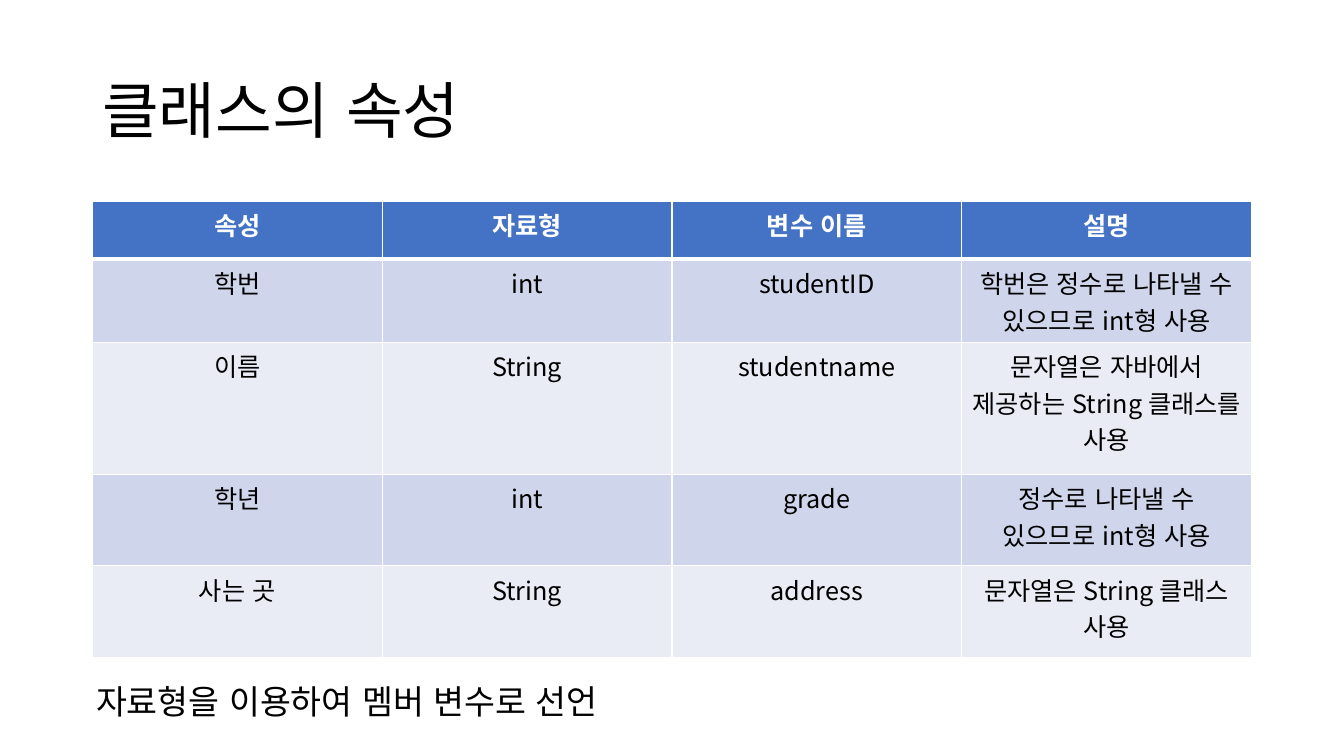
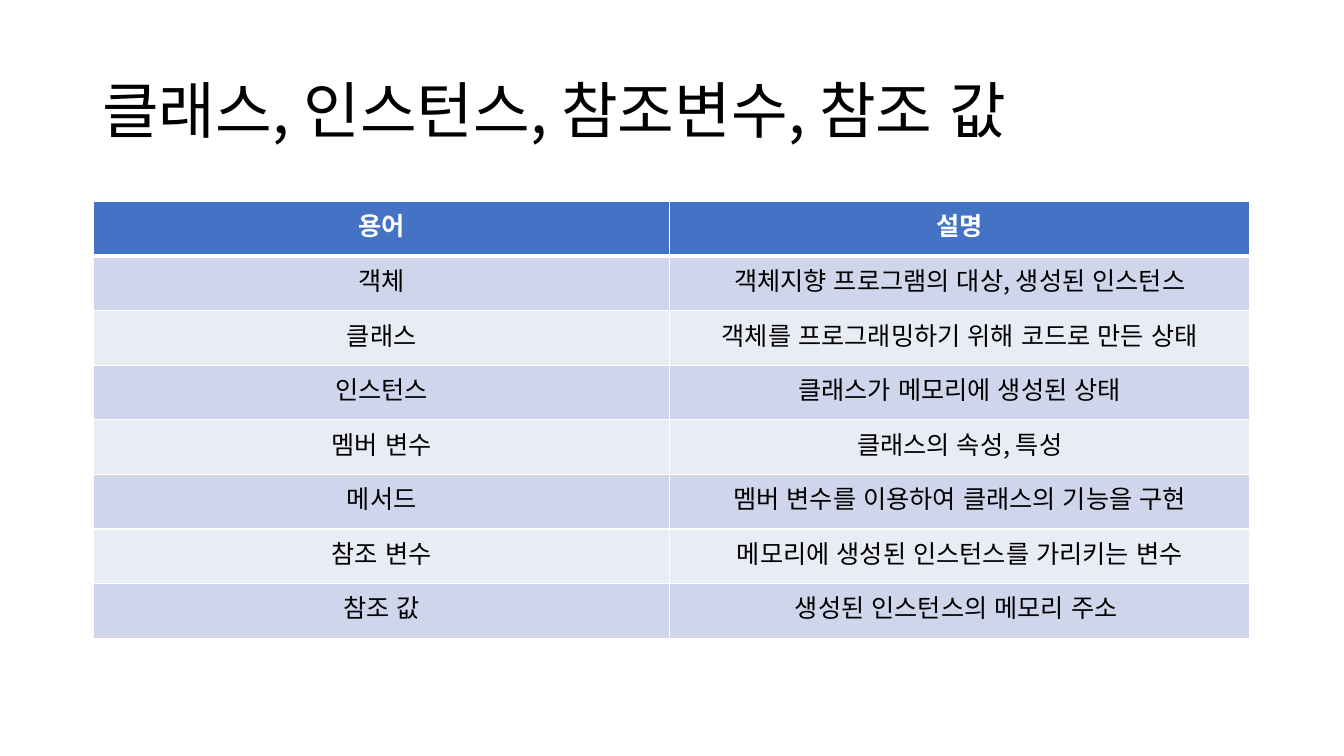
"""Build two slides of class-concept tables with a shared title and table style."""
from dataclasses import dataclass

from lxml.etree import SubElement
from pptx import Presentation
from pptx.dml.color import RGBColor
from pptx.enum.lang import MSO_LANGUAGE_ID as Language
from pptx.enum.text import MSO_ANCHOR as Anchor, PP_ALIGN as Align
from pptx.oxml.ns import qn
from pptx.slide import Slide
from pptx.table import _Cell as Cell
from pptx.text.text import _Paragraph as Paragraph
from pptx.util import Emu, Pt

EMU_PER_PX = 9525
FONT = "Noto Sans CJK KR"
BLACK, WHITE = "000000", "FFFFFF"
HEADER_FILL = "4472C4"
BAND_FILLS = ("E9EBF5", "CFD5EA")
THIN, THICK = 1, 3


@dataclass(frozen=True)
class Box:
    left: int
    top: int
    width: int
    height: int


@dataclass(frozen=True)
class TableSlide:
    title: str
    left: int
    column_widths: tuple[int, ...]
    row_heights: tuple[int, ...]
    rows: tuple[tuple[str, ...], ...]
    note: str = ""


TITLE_BOX = Box(88, 39, 1104, 139)
NOTE_BOX = Box(82, 644, 931, 48)
TABLE_TOP = 192

SLIDES = (
    TableSlide(
        title="클래스의 속성",
        left=88,
        column_widths=(276,) * 4,
        row_heights=(55, 79, 126, 87, 87),
        rows=(
            ("속성", "자료형", "변수 이름", "설명"),
            ("학번", "int", "studentID", "학번은 정수로 나타낼 수 있으므로 int형 사용"),
            ("이름", "String", "studentname", "문자열은 자바에서 제공하는 String 클래스를 사용"),
            ("학년", "int", "grade", "정수로 나타낼 수 있으므로 int형 사용"),
            ("사는 곳", "String", "address", "문자열은 String 클래스 사용"),
        ),
        note="자료형을 이용하여 멤버 변수로 선언",
    ),
    TableSlide(
        title="클래스, 인스턴스, 참조변수, 참조 값",
        left=89,
        column_widths=(549, 552),
        row_heights=(52,) * 8,
        rows=(
            ("용어", "설명"),
            ("객체", "객체지향 프로그램의 대상, 생성된 인스턴스"),
            ("클래스", "객체를 프로그래밍하기 위해 코드로 만든 상태"),
            ("인스턴스", "클래스가 메모리에 생성된 상태"),
            ("멤버 변수", "클래스의 속성, 특성"),
            ("메서드", "멤버 변수를 이용하여 클래스의 기능을 구현"),
            ("참조 변수", "메모리에 생성된 인스턴스를 가리키는 변수"),
            ("참조 값", "생성된 인스턴스의 메모리 주소 "),
        ),
    ),
)


def px(length: int) -> Emu:
    return Emu(length * EMU_PER_PX)


def color(value: str) -> RGBColor:
    return RGBColor.from_string(value)


def format_runs(paragraph: Paragraph, size: int, ink: str = BLACK, bold: bool = False) -> None:
    for run in paragraph.runs:
        font = run.font
        font.name, font.size, font.bold = FONT, Pt(size), bold
        font.color.rgb = color(ink)
        font.language_id = Language.KOREAN
        SubElement(font._element, qn("a:ea"), typeface=FONT)


def add_text(slide: Slide, box: Box, text: str, size: int,
             anchor: Anchor = Anchor.TOP, line_spacing: float = 1.0) -> None:
    shape = slide.shapes.add_textbox(px(box.left), px(box.top), px(box.width), px(box.height))
    frame = shape.text_frame
    frame.word_wrap = True
    frame.vertical_anchor = anchor
    frame.text = text
    paragraph = frame.paragraphs[0]
    paragraph.line_spacing = line_spacing
    format_runs(paragraph, size)


def add_borders(cell: Cell, top: int, bottom: int) -> None:
    properties = cell._tc.get_or_add_tcPr()
    for side, width in (("L", THIN), ("R", THIN), ("T", top), ("B", bottom)):
        line = SubElement(properties, qn(f"a:ln{side}"), w=str(Pt(width)))
        SubElement(SubElement(line, qn("a:solidFill")), qn("a:srgbClr"), val=WHITE)


def style_cell(cell: Cell, text: str, row_index: int) -> None:
    is_header = row_index == 0
    add_borders(cell, THICK if row_index == 1 else THIN, THICK if is_header else THIN)
    cell.fill.solid()
    cell.fill.fore_color.rgb = color(HEADER_FILL if is_header else BAND_FILLS[row_index % 2])
    cell.text_frame.text = text
    paragraph = cell.text_frame.paragraphs[0]
    paragraph.alignment = Align.CENTER
    format_runs(paragraph, 18, WHITE if is_header else BLACK, is_header)


def add_table(slide: Slide, content: TableSlide) -> None:
    table = slide.shapes.add_table(
        len(content.rows), len(content.column_widths), px(content.left), px(TABLE_TOP),
        px(sum(content.column_widths)), px(sum(content.row_heights))).table
    table.first_row = table.horz_banding = False
    for column, width in zip(table.columns, content.column_widths):
        column.width = px(width)
    for row_index, (row, height) in enumerate(zip(table.rows, content.row_heights)):
        row.height = px(height)
        for cell, text in zip(row.cells, content.rows[row_index]):
            style_cell(cell, text, row_index)


def main() -> None:
    presentation = Presentation()
    presentation.slide_width, presentation.slide_height = px(1280), px(720)
    blank_layout = presentation.slide_layouts[6]
    for content in SLIDES:
        slide = presentation.slides.add_slide(blank_layout)
        add_text(slide, TITLE_BOX, content.title, 44, Anchor.MIDDLE, 0.9)
        add_table(slide, content)
        if content.note:
            add_text(slide, NOTE_BOX, content.note, 24)
    presentation.save("out.pptx")


if __name__ == "__main__":
    main()
